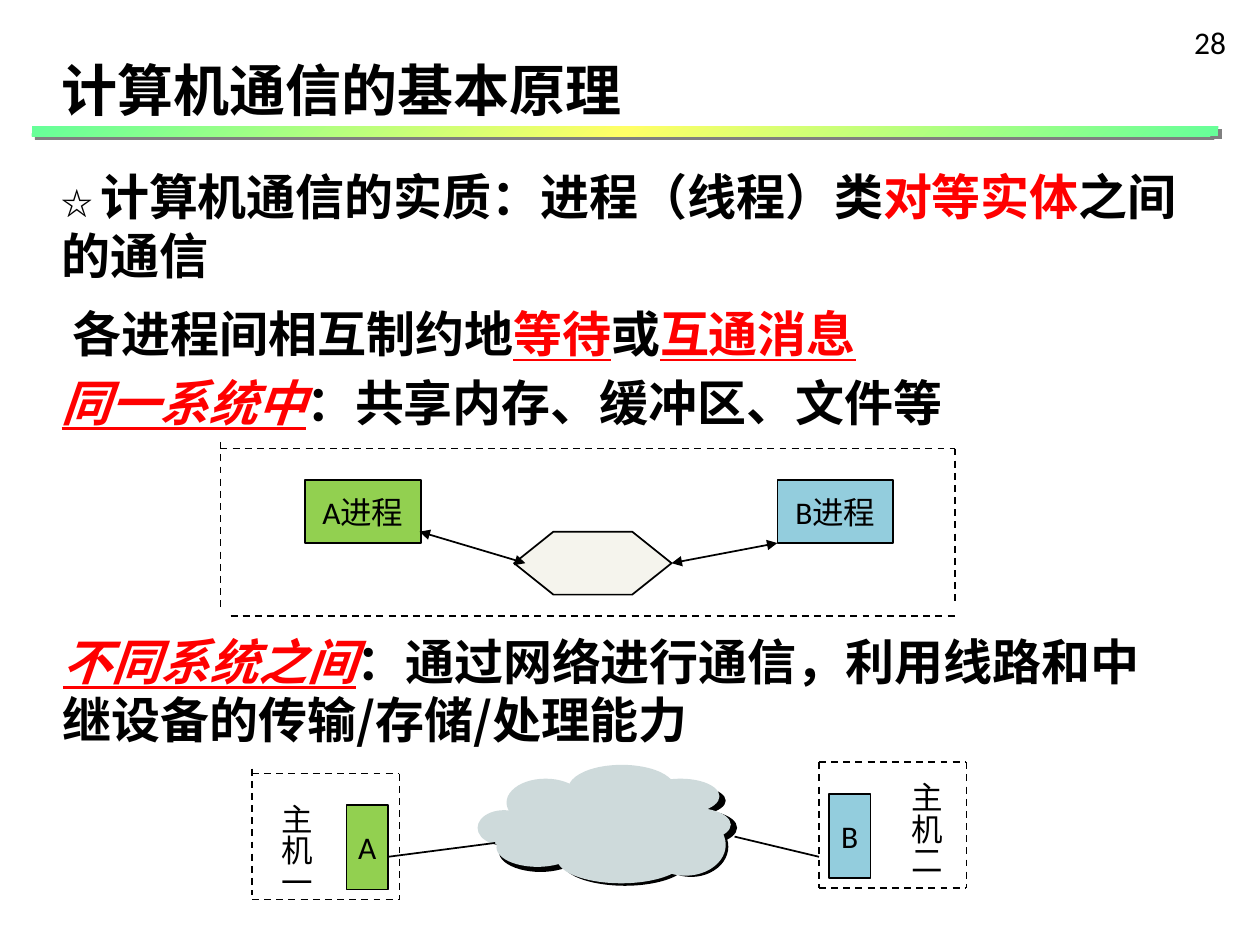
from lxml import etree
from pptx import Presentation, util as u
from pptx.dml.color import RGBColor
from pptx.enum import dml, shapes, text
from pptx.oxml import parse_xml
from pptx.oxml.ns import nsdecls, qn

BLACK = RGBColor(0, 0, 0)
RED = RGBColor(0xFF, 0, 0)
GREEN = RGBColor(0x92, 0xD0, 0x50)
BLUE = RGBColor(0x93, 0xCD, 0xDD)
CREAM = RGBColor(0xF5, 0xF4, 0xED)
CLOUD = RGBColor(0xCE, 0xDA, 0xDB)
LATIN, HAN = "Calibri", "Noto Sans CJK SC"
KIND = shapes.MSO_SHAPE

# Paragraphs: (space before, space after, indent, runs); run: (text, marks)
# Marks: r red, u underlined, i italic, s small star
TITLE = [(0, 0, 0, [("计算机通信的基本原理", "")])]
BODY = [
    (0, 5.6, 0, [("☆ ", "s"), ("计算机通信的实质：进程（线程）类", ""),
                 ("对等实体", "r"), ("之间的通信", "")]),
    (5.6, 0, 0.09, [("各进程间相互制约地", ""), ("等待", "ru"), ("或", ""),
                    ("互通消息", "ru")]),
    (5.6, 0, 0, [("同一系统中", "rui"), ("：共享内存、缓冲区、文件等", "")]),
]
REMOTE = [(0, 0, 0, [("不同系统之间", "rui"),
                     ("：通过网络进行通信，利用线路和中继设备的传输/存储/处理能力", "")])]
TEXTS = [(TITLE, (0.39, 0.35, 6, 0.63), 32),
         (BODY, (0.39, 1.23, 9.1, 2.25), 28),
         (REMOTE, (0.4, 4.92, 9.1, 1.03), 28)]

BOXES = [("A进程", (2.42, 3.81, 0.92, 0.5), GREEN),
         ("B进程", (6.17, 3.81, 0.92, 0.5), BLUE),
         ("A", (2.75, 6.39, 0.33, 0.67), GREEN),
         ("B", (6.58, 6.3, 0.33, 0.67), BLUE)]
LABELS = [("28", (9.38, 0.13, 0.54, 0.5), False),
          ("主机一", (2.05, 6.28, 0.5, 0.86), True),
          ("主机二", (7.05, 6.11, 0.5, 0.86), True)]

ARROWS = [(3.33, 4.22, 4.17, 4.47), (5.33, 4.47, 6.17, 4.31)]
LINKS = [(3.08, 6.8, 3.93, 6.69), (5.83, 6.64, 6.5, 6.8)]
SYSTEM = [(1.75, 3.51, 1.75, 4.85), (1.75, 3.56, 7.58, 3.56),
          (7.58, 3.56, 7.58, 4.81), (1.83, 4.89, 7.58, 4.89)]
HOSTS = [(2, 6.14, -0.04), (6.5, 6.05, 0)]  # left, top, shift of left edge
HOST_W, HOST_H = 1.17, 1

SHADE = [(4.53, 6.12, 0.88, 0.34), (4.04, 6.2, 0.63, 0.36), (3.82, 6.45, 0.43, 0.27),
         (3.96, 6.6, 0.66, 0.32), (4.46, 6.65, 1, 0.38), (5.12, 6.23, 0.64, 0.25),
         (5.24, 6.43, 0.61, 0.28), (5.19, 6.48, 0.59, 0.48), (4.18, 6.33, 1.31, 0.48)]
PUFFS = [(4.51, 6.07, 0.85, 0.38), (4.02, 6.18, 0.62, 0.38), (3.79, 6.43, 0.42, 0.28),
         (3.94, 6.57, 0.65, 0.31), (4.42, 6.62, 1.02, 0.39), (5.09, 6.18, 0.62, 0.28),
         (5.19, 6.41, 0.61, 0.27), (5.12, 6.46, 0.64, 0.49), (4.16, 6.29, 1.31, 0.48)]

deck = Presentation()
deck.slide_width, deck.slide_height = u.Inches(10), u.Inches(7.5)
slide = deck.slides.add_slide(deck.slide_layouts[6])


def inches(nums):
    return [u.Inches(n) for n in nums]


def shape(kind, at, fill, line=True):
    item = slide.shapes.add_shape(kind, *inches(at))
    item.shadow.inherit = False
    item.fill.solid()
    item.fill.fore_color.rgb = fill
    if line:
        item.line.color.rgb = BLACK
        item.line.width = u.Pt(1)
    else:
        item.line.fill.background()
    return item


def line(ends, dash=False, arrows=False):
    item = slide.shapes.add_connector(shapes.MSO_CONNECTOR.STRAIGHT, *inches(ends))
    item.line.color.rgb = BLACK
    item.line.width = u.Pt(1)
    if dash:
        item.line.dash_style = dml.MSO_LINE.DASH
    if arrows:
        for tag in ("a:headEnd", "a:tailEnd"):
            etree.SubElement(item.line._ln, qn(tag), type="triangle")
    etree.SubElement(item._element.spPr, qn("a:effectLst"))


def label(frame, words):
    """Set one short line in the small label style."""
    frame.text = words
    frame.word_wrap = False
    font = frame.paragraphs[0].runs[0].font
    font.name, font.size, font.color.rgb = LATIN, u.Pt(18), BLACK


def rich(paras, at, size):
    frame = slide.shapes.add_textbox(*inches(at)).text_frame
    frame.word_wrap = True
    frame.margin_top = u.Inches(0.09)
    for n, (before, after, indent, runs) in enumerate(paras):
        para = frame.add_paragraph() if n else frame.paragraphs[0]
        para.line_spacing = u.Pt(1.2 * size)
        para.space_before, para.space_after = u.Pt(before), u.Pt(after)
        if indent:
            para._p.get_or_add_pPr().set("marL", str(u.Inches(indent)))
        for words, marks in runs:
            run = para.add_run()
            run.text = words
            font = run.font
            star = "s" in marks
            font.name = LATIN if star else HAN
            font.size = u.Pt(18 if star else size)
            font.bold = True
            font.italic, font.underline = "i" in marks, "u" in marks
            font.color.rgb = RED if "r" in marks else BLACK
            if not star:
                etree.SubElement(run._r.get_or_add_rPr(), qn("a:ea"), typeface=HAN)


def bar():
    """Title rule with a three-stop gradient and a grey shadow."""
    item = shape(KIND.RECTANGLE, (0.25, 1, 9.42, 0.08), GREEN, line=False)
    item.fill.gradient()
    item.fill.gradient_angle = 315
    stops = item._element.spPr.find(qn("a:gradFill")).find(qn("a:gsLst"))
    for old in list(stops):
        stops.remove(old)
    for place, tone in ((0, "66FF99"), (50, "FFFF66"), (100, "66FF99")):
        stop = etree.SubElement(stops, qn("a:gs"), pos=str(place * 1000))
        etree.SubElement(stop, qn("a:srgbClr"), val=tone)
    item._element.spPr.find(qn("a:effectLst")).append(parse_xml(
        f'<a:outerShdw {nsdecls("a")} dist="35560" dir="2700000" algn="ctr">'
        '<a:srgbClr val="808080"/></a:outerShdw>'))


bar()
for words, at, fill in BOXES:
    frame = shape(KIND.RECTANGLE, at, fill).text_frame
    label(frame, words)
    frame.vertical_anchor = text.MSO_ANCHOR.MIDDLE
    frame.paragraphs[0].alignment = text.PP_ALIGN.CENTER
shape(KIND.HEXAGON, (4.08, 4.22, 1.25, 0.5), CREAM).adjustments[0] = 0.625
for ends in ARROWS:
    line(ends, arrows=True)

frames = list(SYSTEM)
for x, y, shift in HOSTS:
    right, low = x + HOST_W, y + HOST_H
    frames += [(x, y, right, y), (x, low, right, low), (right, y, right, low),
               (x, y + shift, x, low + shift)]
for ends in frames:
    line(ends, dash=True)

for group, fill in ((SHADE, BLACK), (PUFFS, CLOUD)):
    for at in group:
        shape(KIND.OVAL, at, fill, line=False)
for ends in LINKS:
    line(ends)

for words, at, tall in LABELS:
    frame = slide.shapes.add_textbox(*inches(at)).text_frame
    label(frame, words)
    if tall:
        frame._txBody.bodyPr.set("vert", "eaVert")
for paras, at, size in TEXTS:
    rich(paras, at, size)

deck.save("out.pptx")
